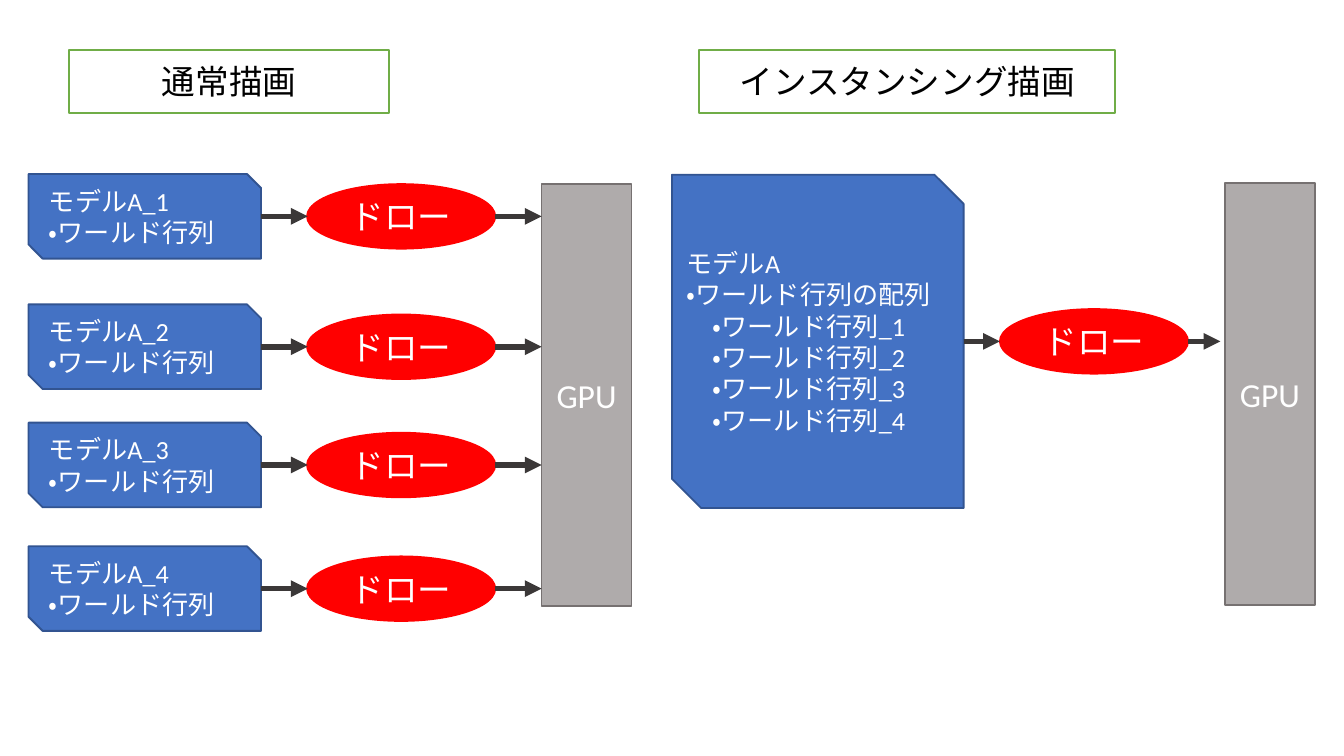
"""Build a slide comparing normal drawing with instanced drawing."""
import dataclasses

import lxml.etree
import pptx
import pptx.dml.color
import pptx.enum.lang
import pptx.enum.shapes
import pptx.enum.text
import pptx.oxml.ns
import pptx.util

SHAPES = pptx.enum.shapes.MSO_SHAPE
ALIGN = pptx.enum.text.PP_ALIGN


@dataclasses.dataclass(frozen=True)
class Theme:
    font: str = "Calibri"
    body_size: int = 14
    label_size: int = 18
    white: str = "FFFFFF"
    black: str = "000000"
    model: str = "4472C4"
    model_edge: str = "325491"
    draw: str = "FF0000"
    processor: str = "AFABAB"
    processor_edge: str = "767171"
    heading_edge: str = "70AD47"
    arrow: str = "3B3838"


def color(value):
    return pptx.dml.color.RGBColor.from_string(value)


def write_text(frame, lines, *, font, size, ink, align, indents=(), inset=0.1):
    frame.word_wrap = True
    frame.vertical_anchor = pptx.enum.text.MSO_ANCHOR.MIDDLE
    frame.margin_left = frame.margin_right = pptx.util.Inches(inset)
    for index, line in enumerate(lines):
        paragraph = frame.paragraphs[0] if index == 0 else frame.add_paragraph()
        paragraph.alignment = align
        if index in indents:
            paragraph._p.get_or_add_pPr().set("marL", str(pptx.util.Pt(size)))
        run = paragraph.add_run()
        run.text = line
        run.font.name = font
        run.font.size = pptx.util.Pt(size)
        run.font.color.rgb = color(ink)
        run.font.language_id = pptx.enum.lang.MSO_LANGUAGE_ID.JAPANESE


class Diagram:
    columns = 100
    rows = 56.25

    def __init__(self, presentation, theme):
        self.theme = theme
        self.slide = presentation.slides.add_slide(presentation.slide_layouts[6])
        self.column = presentation.slide_width / self.columns
        self.row = presentation.slide_height / self.rows

    def across(self, columns):
        return round(columns * self.column)

    def down(self, rows):
        return round(rows * self.row)

    def box(self, kind, left, top, width, height, fill, edge, lines, **text_format):
        shape = self.slide.shapes.add_shape(
            kind, self.across(left), self.down(top), self.across(width), self.down(height))
        shape.shadow.inherit = False
        shape.fill.solid()
        shape.fill.fore_color.rgb = color(fill)
        shape.line.color.rgb = color(edge)
        shape.line.width = pptx.util.Pt(1)
        settings = dict(font=self.theme.font, size=self.theme.label_size,
                        ink=self.theme.white, align=ALIGN.CENTER)
        write_text(shape.text_frame, lines, **(settings | text_format))
        return shape

    def heading(self, left, width, text):
        self.box(SHAPES.RECTANGLE, left, 3.7, width, 4.7, self.theme.white,
                 self.theme.heading_edge, [text], ink=self.theme.black)

    def model(self, left, top, width, height, lines, **text_format):
        return self.box(SHAPES.SNIP_2_DIAG_RECTANGLE, left, top, width, height,
                        self.theme.model, self.theme.model_edge, lines,
                        size=self.theme.body_size, align=ALIGN.LEFT, **text_format)

    def draw_call(self, left, middle):
        height = 4.8
        self.box(SHAPES.OVAL, left, middle - height / 2, 14, height,
                 self.theme.draw, self.theme.draw, ["ドロー"])

    def processor(self, left, top):
        self.box(SHAPES.RECTANGLE, left, top, 6.7, 31.4, self.theme.processor,
                 self.theme.processor_edge, ["GPU"])

    def arrow(self, start, end, middle):
        connector = self.slide.shapes.add_connector(
            pptx.enum.shapes.MSO_CONNECTOR.STRAIGHT, self.across(start),
            self.down(middle), self.across(end), self.down(middle))
        connector.line.color.rgb = color(self.theme.arrow)
        connector.line.width = pptx.util.Pt(3)
        name = pptx.oxml.ns.qn
        lxml.etree.SubElement(connector.line._get_or_add_ln(), name("a:tailEnd"), type="triangle")
        lxml.etree.SubElement(connector._element.spPr, name("a:effectLst"))


def build_normal_drawing(diagram):
    diagram.heading(5.15, 23.8, "通常描画")
    diagram.processor(40.3, 13.7)
    height = 6.3
    for number, middle in enumerate((16.1, 25.8, 34.6, 43.8), start=1):
        diagram.model(2.13, middle - height / 2, 17.3, height,
                      [f"モデルA_{number}", "・ワールド行列"])
        diagram.draw_call(22.85, middle)
        diagram.arrow(19.4, 22.9, middle)
        diagram.arrow(36.8, 40.3, middle)


def build_instanced_drawing(diagram):
    diagram.heading(52, 31, "インスタンシング描画")
    matrices = [f"・ワールド行列_{number}" for number in range(1, 5)]
    model = diagram.model(50, 13, 21.7, 24.8, ["モデルA", "・ワールド行列の配列", *matrices],
                          indents=range(2, 6), inset=0)
    model.adjustments[0] = 0
    model.adjustments[1] = 0.1
    diagram.processor(91.15, 13.6)
    middle = 25.4
    diagram.draw_call(74.4, middle)
    diagram.arrow(71.7, 74.4, middle)
    diagram.arrow(88.4, 90.8, middle)


def main():
    presentation = pptx.Presentation()
    presentation.slide_width = pptx.util.Inches(10)
    presentation.slide_height = presentation.slide_width * 9 // 16
    diagram = Diagram(presentation, Theme())
    build_normal_drawing(diagram)
    build_instanced_drawing(diagram)
    presentation.save("out.pptx")


main()
